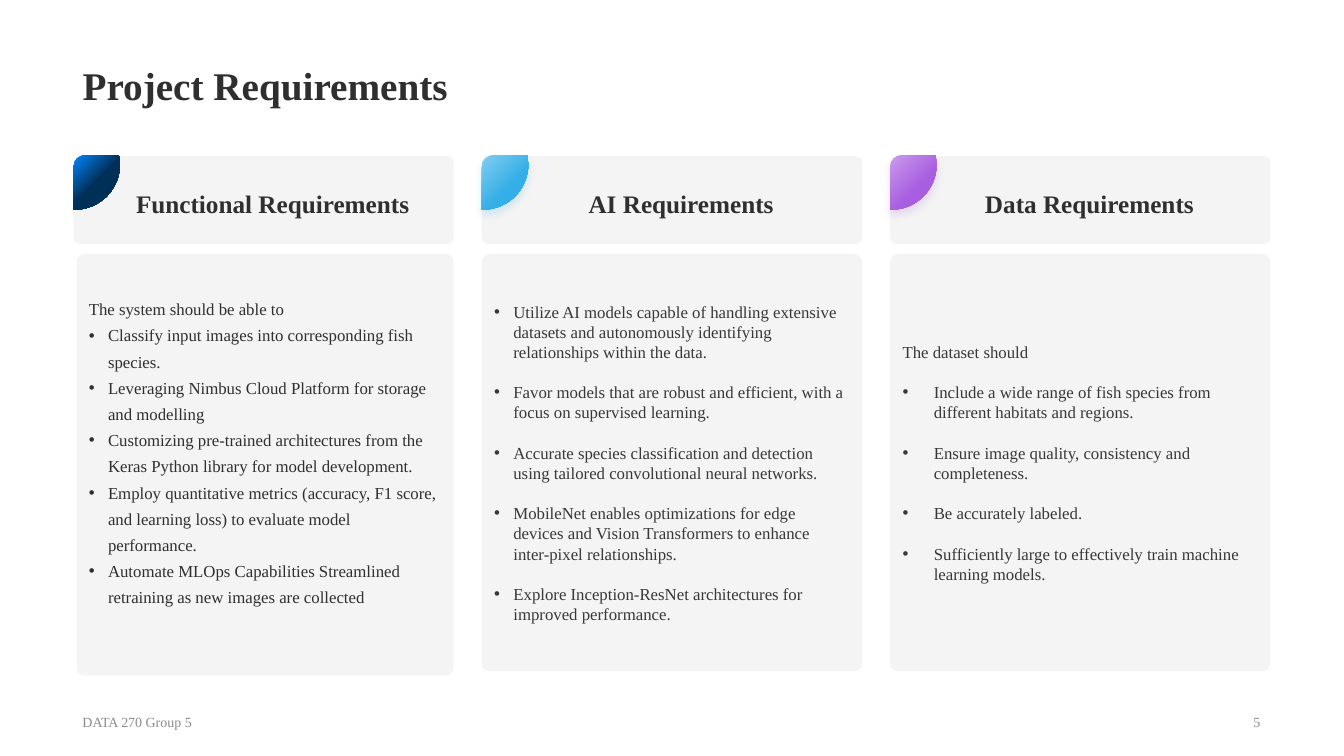
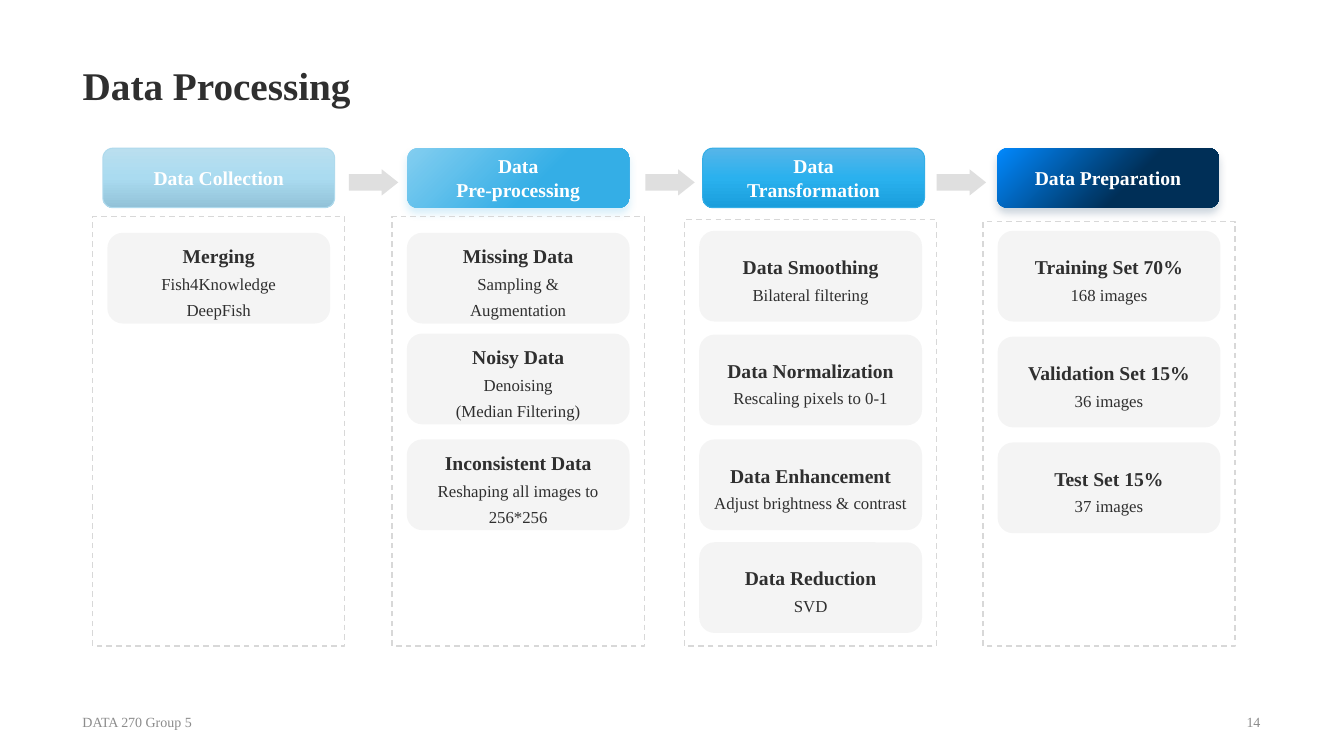
"""Builds two slides on the requirements and the data processing of a project."""
from dataclasses import dataclass

from pptx import Presentation
from pptx.dml.color import RGBColor as RGB
from pptx.enum.dml import MSO_LINE
from pptx.enum.shapes import MSO_SHAPE as SHAPE
from pptx.enum.text import MSO_ANCHOR as ANCHOR, MSO_AUTO_SIZE as AUTO, PP_ALIGN as ALIGN
from pptx.oxml import parse_xml
from pptx.oxml.ns import nsdecls, qn
from pptx.util import Inches, Pt

FONT = "Times New Roman"
INK = RGB(0x2F, 0x2F, 0x2F)
CHARCOAL = RGB(0x38, 0x38, 0x38)
GREY = RGB(0x96, 0x96, 0x96)
FOOTER = RGB(0x8C, 0x8C, 0x8C)
DASH = RGB(0xD8, 0xD8, 0xD8)
WHITE = RGB(0xFF, 0xFF, 0xFF)
AZURE = RGB(0x01, 0x89, 0xFE)
NAVY = RGB(0x00, 0x2F, 0x57)
PALE_SKY = RGB(0x83, 0xCE, 0xF0)
SKY = RGB(0x34, 0xAE, 0xE6)
LILAC = RGB(0xCA, 0x9C, 0xEC)
PURPLE = RGB(0xA8, 0x5E, 0xE0)
ICE_LINE = RGB(0xAF, 0xDA, 0xED)
ICE = [(0, RGB(0xBA, 0xDF, 0xEF)), (50, RGB(0xAA, 0xDB, 0xF0)), (100, RGB(0x92, 0xC2, 0xD8))]
CYAN = [(0, RGB(0x56, 0xB5, 0xE9)), (50, RGB(0x2A, 0xB1, 0xEE)), (100, RGB(0x1A, 0x9E, 0xDC))]

MARGIN, CONTENT_W = 0.72, 11.88
COL_X, COL_PITCH, COL_W = 0.73, 4.05, 3.77
HEAD_Y, BODY_Y = 1.55, 2.52
FRAME_W, FRAME_BOTTOM = 2.5, 6.41
STAGE_Y, STAGE_H = 1.47, 0.59
CARD_W, CARD_H = 2.21, 0.9
PETAL = [(0.12, 0), (0.45, 0), (0.46, 0.09), (0.01, 0.54), (0, 0.54), (0, 0.12), (0.12, 0)]
PETAL_CURVES = {2: [(0.45, 0.03), (0.46, 0.06)], 3: [(0.46, 0.34), (0.26, 0.54)],
                6: [(0, 0.05), (0.05, 0)]}


@dataclass
class Panel:
    """A column of requirements."""
    heading: str
    lead: str
    items: list
    stops: list
    glow: RGB = None
    color: RGB = CHARCOAL
    inset: float = 0
    height: float = 4.14
    indent: float = 0.19
    spacing: float = 1.0
    gap: float = 14.4
    bottom: float = 0.05


@dataclass
class Stage:
    """A step of the data pipeline with its cards."""
    title: list
    cards: dict
    stops: list
    left: float
    top: float
    head_x: float
    head_w: float = 2.2
    arrow_x: float = None
    angle: int = 45
    line: RGB = None
    glow: RGB = None
    anchor: ANCHOR = ANCHOR.MIDDLE


PANELS = [
    Panel("Functional Requirements", "The system should be able to", [
        "Classify input images into corresponding fish species.",
        "Leveraging Nimbus Cloud Platform for storage and modelling",
        "Customizing pre-trained architectures from the Keras Python library for model development.",
        "Employ quantitative metrics (accuracy, F1 score, and learning loss) to evaluate model performance.",
        "Automate MLOps Capabilities Streamlined retraining as new images are collected",
    ], [(0, AZURE), (50, NAVY), (100, NAVY)], color=INK, inset=0.03, height=4.18,
        spacing=1.3, gap=0, bottom=0.34),
    Panel("AI Requirements", "", [
        "Utilize AI models capable of handling extensive datasets and autonomously identifying "
        "relationships within the data.",
        "Favor models that are robust and efficient, with a focus on supervised learning.",
        "Accurate species classification and detection using tailored convolutional neural networks.",
        "MobileNet enables optimizations for edge devices and Vision Transformers to enhance "
        "inter-pixel relationships.",
        "Explore Inception-ResNet architectures for improved performance.",
    ], [(0, PALE_SKY), (60, SKY), (100, SKY)], SKY),
    Panel("Data Requirements", "The dataset should", [
        "Include a wide range of fish species from different habitats and regions.",
        "Ensure image quality, consistency and completeness.",
        "Be accurately labeled.",
        "Sufficiently large to effectively train machine learning models.",
    ], [(0, LILAC), (60, PURPLE), (100, PURPLE)], PURPLE, indent=0.31),
]

STAGES = [
    Stage(["Data Collection"], {2.31: ["Merging", "Fish4Knowledge", "DeepFish"]},
          ICE, 0.92, 2.15, 1.02, 2.3, angle=90, line=ICE_LINE, anchor=ANCHOR.TOP),
    Stage(["Data", "Pre-processing"], {
        2.31: ["Missing Data", "Sampling &", "Augmentation"],
        3.31: ["Noisy Data", "Denoising", "(Median Filtering)"],
        4.36: ["Inconsistent Data", "Reshaping all images to 256*256"],
    }, [(0, PALE_SKY), (60, SKY), (100, SKY)], 3.89, 2.15, 4.04, arrow_x=3.46, glow=SKY, anchor=ANCHOR.TOP),
    Stage(["Data", "Transformation"], {
        2.29: ["Data Smoothing", "Bilateral filtering"],
        3.32: ["Data Normalization", "Rescaling pixels to 0-1"],
        4.36: ["Data Enhancement", "Adjust brightness & contrast"],
        5.38: ["Data Reduction", "SVD"],
    }, CYAN, 6.79, 2.18, 6.97, arrow_x=6.4, angle=90, line=SKY),
    Stage(["Data Preparation"], {
        2.29: ["Training Set 70%", "168 images"],
        3.34: ["Validation Set 15%", "36 images"],
        4.39: ["Test Set 15%", "37 images"],
    }, [(0, AZURE), (60, NAVY), (100, NAVY)], 9.75, 2.2, 9.89, arrow_x=9.29, glow=NAVY),
]


def place(s, x, y, w, h):
    """Moves a shape to a box given in inches."""
    s.left, s.top, s.width, s.height = (Inches(v) for v in (x, y, w, h))


def set_frame(tf, anchor, inset_x=0.1, inset_y=0.05):
    """Sets wrapping, anchor and insets of a text frame."""
    tf.word_wrap, tf.auto_size, tf.vertical_anchor = True, AUTO.NONE, anchor
    tf.margin_left = tf.margin_right = Inches(inset_x)
    tf.margin_top = tf.margin_bottom = Inches(inset_y)


def add_para(tf, text, size, color, bold=False, align=ALIGN.LEFT, spacing=1.0, before=0, indent=None):
    """Adds a paragraph of one run, with a bullet where an indent is given."""
    first = not tf.paragraphs[0].runs
    p = tf.paragraphs[0] if first else tf.add_paragraph()
    pPr = p._p.get_or_add_pPr()
    pPr.set("marL", str(Inches(indent or 0)))
    pPr.set("indent", str(-Inches(indent or 0)))
    if indent:
        pPr.append(parse_xml(f'<a:buClr {nsdecls("a")}><a:srgbClr val="{color}"/></a:buClr>'))
        pPr.append(parse_xml(f'<a:buChar {nsdecls("a")} char="•"/>'))
    else:
        pPr.append(parse_xml(f'<a:buNone {nsdecls("a")}/>'))
    p.alignment, p.line_spacing = align, spacing
    p.space_before, p.space_after = Pt(0 if first else before), Pt(0)
    r = p.add_run()
    r.text = text
    r.font.name, r.font.size, r.font.bold = FONT, Pt(size), bold
    r.font.color.rgb = color


def tint(s, color, opacity):
    """Fills a shape with a see-through colour."""
    s.fill.solid()
    s.fill.fore_color.rgb = color
    clr = s.element.spPr.find(qn("a:solidFill")).find(qn("a:srgbClr"))
    clr.append(parse_xml(f'<a:alpha {nsdecls("a")} val="{opacity * 1000}"/>'))


def shade(s, stops, angle):
    """Fills a shape with a linear gradient."""
    s.fill.solid()
    spPr = s.element.spPr
    marks = "".join(f'<a:gs pos="{pos * 1000}"><a:srgbClr val="{c}"/></a:gs>' for pos, c in stops)
    spPr.replace(spPr.find(qn("a:solidFill")), parse_xml(
        f'<a:gradFill {nsdecls("a")} rotWithShape="1"><a:gsLst>{marks}</a:gsLst>'
        f'<a:lin ang="{angle * 60000}" scaled="0"/></a:gradFill>'))


def finish(s, line=None, glow=None, weight=0.75):
    """Sets the outline and the soft coloured shadow of a shape."""
    s.shadow.inherit = False
    if line is None:
        s.line.fill.background()
    else:
        s.line.color.rgb, s.line.width = line, Pt(weight)
    if glow is not None:
        s.element.spPr.find(qn("a:effectLst")).append(parse_xml(
            f'<a:outerShdw {nsdecls("a")} blurRad="{Pt(6)}" dist="{Pt(4)}" dir="5400000" '
            f'algn="t" rotWithShape="0"><a:srgbClr val="{glow}"><a:alpha val="20000"/>'
            '</a:srgbClr></a:outerShdw>'))


def add_preset(slide, kind, x, y, w, h, *adjustments):
    """Adds a preset shape with its adjustments."""
    s = slide.shapes.add_shape(kind, *(Inches(v) for v in (x, y, w, h)))
    for i, value in enumerate(adjustments):
        s.adjustments[i] = value
    return s


def add_label(slide, x, y, w, h, text, size, color, **style):
    """Adds a line of text in a text box."""
    tf = slide.shapes.add_textbox(*(Inches(v) for v in (x, y, w, h))).text_frame
    set_frame(tf, ANCHOR.MIDDLE)
    add_para(tf, text, size, color, **style)


def add_page(prs, layout, title, number):
    """Adds a slide with title, footer and page number."""
    slide = prs.slides.add_slide(prs.slide_layouts[layout])
    s = slide.shapes.title
    place(s, MARGIN, 0.15, CONTENT_W, 0.98)
    set_frame(s.text_frame, ANCHOR.BOTTOM)
    add_para(s.text_frame, title, 28, INK, bold=True)
    add_label(slide, MARGIN, 7.01, 4.1, 0.3, "DATA 270 Group 5", 10, FOOTER)
    add_label(slide, MARGIN + CONTENT_W - 4.1, 7.01, 4.1, 0.3, str(number), 10, FOOTER, align=ALIGN.RIGHT)
    return slide


def add_petal(slide, x, y, stops, glow):
    """Adds the coloured corner, with its marked sides bent into curves."""
    points = [(Inches(x + dx), Inches(y + dy)) for dx, dy in PETAL]
    fb = slide.shapes.build_freeform(*points[0])
    fb.add_line_segments(points[1:], close=True)
    s = fb.convert_to_shape()
    sides = list(s.element.spPr.iter(qn("a:lnTo")))
    for i, controls in PETAL_CURVES.items():
        pts = "".join(f'<a:pt x="{Inches(cx)}" y="{Inches(cy)}"/>' for cx, cy in controls + [PETAL[i]])
        side = sides[i - 1]
        side.getparent().replace(side, parse_xml(f'<a:cubicBezTo {nsdecls("a")}>{pts}</a:cubicBezTo>'))
    shade(s, stops, 45)
    finish(s, glow=glow)


def add_panel(slide, body, x, panel):
    """Adds a column: heading band, corner and list."""
    s = add_preset(slide, SHAPE.ROUNDED_RECTANGLE, x, HEAD_Y, COL_W, 0.87, 0.07)
    tint(s, CHARCOAL, 5)
    finish(s)
    add_petal(slide, x, HEAD_Y - 0.01, panel.stops, panel.glow)
    add_label(slide, x + 0.4, 1.69, 3.15, 0.5, panel.heading, 18, INK,
              bold=True, align=ALIGN.CENTER, spacing=1.5)
    place(body, x + panel.inset, BODY_Y, COL_W - panel.inset, panel.height)
    body.element.spPr.append(parse_xml(
        f'<a:prstGeom {nsdecls("a")} prst="roundRect"><a:avLst>'
        '<a:gd name="adj" fmla="val 2000"/></a:avLst></a:prstGeom>'))
    tint(body, CHARCOAL, 5)
    tf = body.text_frame
    set_frame(tf, ANCHOR.MIDDLE)
    tf.margin_bottom = Inches(panel.bottom)
    style = dict(spacing=panel.spacing, before=panel.gap)
    if panel.lead:
        add_para(tf, panel.lead, 12, panel.color, **style)
    for item in panel.items:
        add_para(tf, item, 12, panel.color, indent=panel.indent, **style)


def add_card(slide, x, y, lines, anchor):
    """Adds a grey card with a bold first line."""
    s = add_preset(slide, SHAPE.ROUNDED_RECTANGLE, x, y, CARD_W, CARD_H, 0.17)
    tint(s, GREY, 10)
    finish(s)
    set_frame(s.text_frame, anchor, 0, 0)
    for i, text in enumerate(lines):
        add_para(s.text_frame, text, 12 if i else 14, INK, bold=not i, align=ALIGN.CENTER, spacing=1.3)


def add_stage(slide, stage):
    """Adds a pipeline step: arrow, header, dashed frame and cards."""
    if stage.arrow_x:
        arrow = add_preset(slide, SHAPE.RIGHT_ARROW, stage.arrow_x, 1.68, 0.49, 0.26, 0.63, 0.63)
        tint(arrow, GREY, 30)
        finish(arrow)
    s = add_preset(slide, SHAPE.ROUNDED_RECTANGLE, stage.head_x, STAGE_Y, stage.head_w, STAGE_H, 0.17)
    shade(s, stage.stops, stage.angle)
    finish(s, stage.line, stage.glow)
    set_frame(s.text_frame, ANCHOR.MIDDLE, 0, 0)
    for text in stage.title:
        add_para(s.text_frame, text, 14, WHITE, bold=True, align=ALIGN.CENTER)
    frame = add_preset(slide, SHAPE.RECTANGLE, stage.left, stage.top, FRAME_W, FRAME_BOTTOM - stage.top)
    frame.fill.background()
    finish(frame, DASH, weight=1)
    frame.line.dash_style = MSO_LINE.DASH
    for top, lines in stage.cards.items():
        add_card(slide, stage.left + (FRAME_W - CARD_W) / 2, top, lines, stage.anchor)


def main():
    """Builds and saves the presentation."""
    prs = Presentation()
    prs.slide_width, prs.slide_height = Inches(13.33), Inches(7.5)

    slide = add_page(prs, 4, "Project Requirements", 5)
    *bodies, spare = list(slide.placeholders)[1:]
    spare.element.getparent().remove(spare.element)
    for col, (body, panel) in enumerate(zip(bodies, PANELS)):
        add_panel(slide, body, COL_X + col * COL_PITCH, panel)

    slide = add_page(prs, 5, "Data Processing", 14)
    for stage in STAGES:
        add_stage(slide, stage)
    prs.save("out.pptx")


if __name__ == "__main__":
    main()
